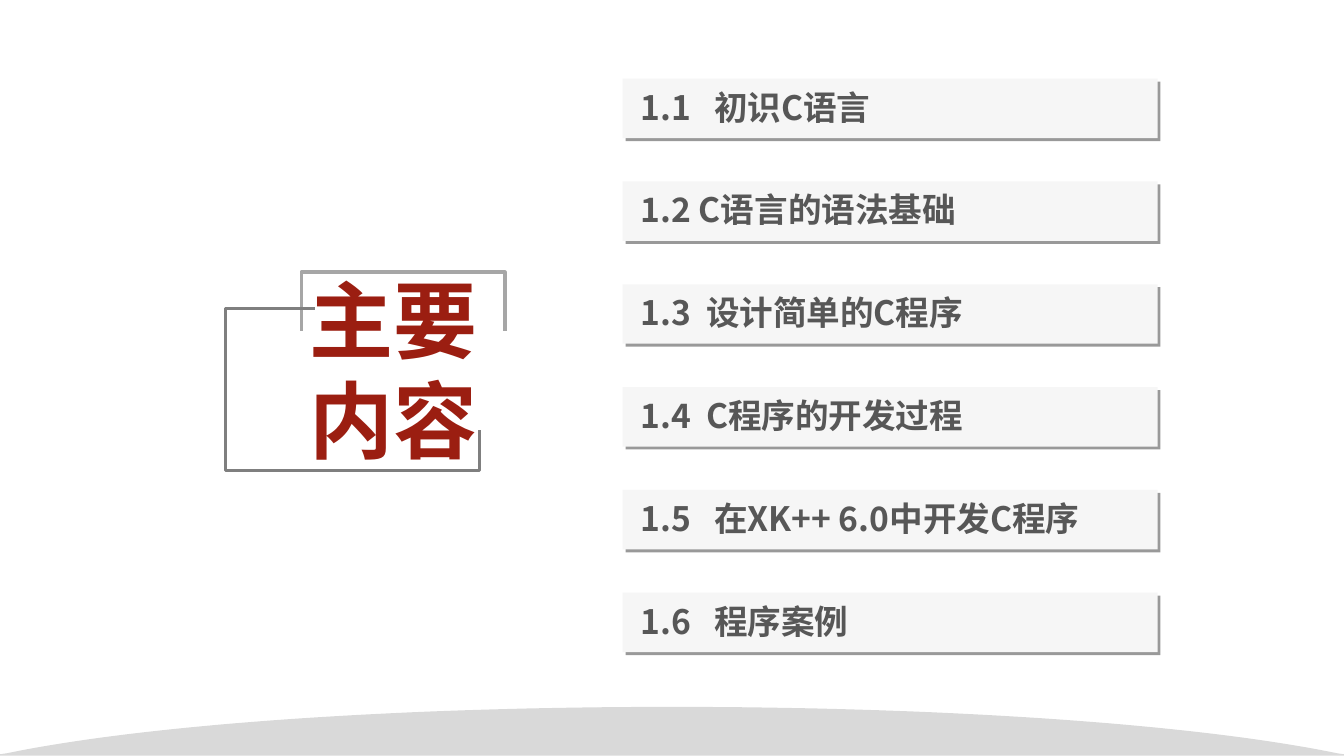
from lxml import etree
from pptx import Presentation
from pptx.dml.color import RGBColor
from pptx.enum.shapes import MSO_SHAPE as Preset
from pptx.enum.text import PP_ALIGN as Align
from pptx.oxml import parse_xml
from pptx.oxml.ns import nsdecls, qn
from pptx.util import Inches, Pt

FONT = "Noto Sans CJK SC"
BAR_LEFT, FIRST_TOP, PITCH = 6.18, 0.78, 1.02
# number, title, distance from the number to the title in inches
SECTIONS = [
    ("1.1", "初识C语言", 0.73),
    ("1.2", "C语言的语法基础", 0.58),
    ("1.3", "设计简单的C程序", 0.65),
    ("1.4", "C程序的开发过程", 0.65),
    ("1.5", "在XK++ 6.0中开发C程序", 0.73),
    ("1.6", "程序案例", 0.73),
]


def color(value):
    return RGBColor.from_string(value)


def add_text(slide, text, left, top, width, height, *, size, fill,
             align=Align.LEFT, tab=None):
    """Add bold text, one paragraph per line, with an optional tab stop."""
    box = slide.shapes.add_textbox(*map(Inches, (left, top, width, height)))
    frame = box.text_frame
    frame.word_wrap = True
    frame.text = text
    for paragraph in frame.paragraphs:
        paragraph.alignment = align
        if tab is not None:
            stops = etree.SubElement(paragraph._p.get_or_add_pPr(), qn("a:tabLst"))
            etree.SubElement(stops, qn("a:tab"), pos=str(Inches(tab)), algn="l")
        for run in paragraph.runs:
            font = run.font
            font.name, font.size, font.bold = FONT, Pt(size), True
            font.color.rgb = color(fill)
            etree.SubElement(run._r.get_or_add_rPr(), qn("a:ea"), typeface=FONT)


def add_outline(slide, points, line, weight, fill=None):
    """Draw a filled closed shape, or an open line when there is no fill."""
    corners = [(Inches(x), Inches(y)) for x, y in points]
    builder = slide.shapes.build_freeform(*corners[0])
    builder.add_line_segments(corners[1:], close=fill is not None)
    outline = builder.convert_to_shape()
    outline.shadow.inherit = False
    outline.line.color.rgb = color(line)
    outline.line.width = Pt(weight)
    if fill is None:
        outline.fill.background()
    else:
        outline.fill.solid()
        outline.fill.fore_color.rgb = color(fill)


def add_bar(slide, top):
    """Add a section bar with a hard shadow to the lower right."""
    bar = slide.shapes.add_shape(
        Preset.RECTANGLE, *map(Inches, (BAR_LEFT, top, 5.31, 0.59)))
    bar.fill.solid()
    bar.fill.fore_color.rgb = color("F6F6F6")
    bar.line.fill.background()
    bar._element.spPr.append(parse_xml(
        f'<a:effectLst {nsdecls("a")}>'
        f'<a:outerShdw blurRad="0" dist="{Pt(3)}" dir="2700000" algn="tl" rotWithShape="0">'
        '<a:srgbClr val="000000"><a:alpha val="40000"/></a:srgbClr>'
        '</a:outerShdw></a:effectLst>'))


def curve(start, control1, control2, end, steps=40):
    """Return points along a cubic Bezier curve."""
    points = []
    for step in range(steps + 1):
        t = step / steps
        weights = ((1 - t) ** 3, 3 * t * (1 - t) ** 2, 3 * t * t * (1 - t), t ** 3)
        points.append(tuple(
            sum(w * value for w, value in zip(weights, values))
            for values in zip(start, control1, control2, end)))
    return points


def add_hill(slide):
    middle = 6.67
    right = curve((middle, 7.02), (9.47, 7.02), (11.92, 7.2), (13.27, 7.48))
    right.append((13.34, 7.49))
    left = [(2 * middle - x, y) for x, y in reversed(right)]
    add_outline(slide, left + right[1:], "D9D9D9", 1, fill="D9D9D9")


def add_heading(slide):
    add_text(slide, "主要\n内容", 1.35, 2.61, 3.49, 2.1,
             size=60, fill="9B1E11", align=Align.RIGHT)
    add_outline(slide, [(2.99, 3.28), (2.99, 2.7), (5.01, 2.7), (5.01, 3.28)],
                "A6A6A6", 2.5)
    add_outline(slide, [(4.76, 4.27), (4.76, 4.67), (2.24, 4.67), (2.24, 3.06),
                        (3.13, 3.06)], "7F7F7F", 2.5)


def main():
    deck = Presentation()
    deck.slide_width, deck.slide_height = Inches(13.34), Inches(7.5)
    slide = deck.slides.add_slide(deck.slide_layouts[6])
    add_hill(slide)
    add_heading(slide)
    for row, (number, title, offset) in enumerate(SECTIONS):
        top = FIRST_TOP + row * PITCH
        add_bar(slide, top)
        add_text(slide, f"{number}\t{title}", BAR_LEFT + 0.08, top + 0.03, 5.27, 0.5,
                 size=24, fill="575757", tab=offset)
    deck.save("out.pptx")


if __name__ == "__main__":
    main()
